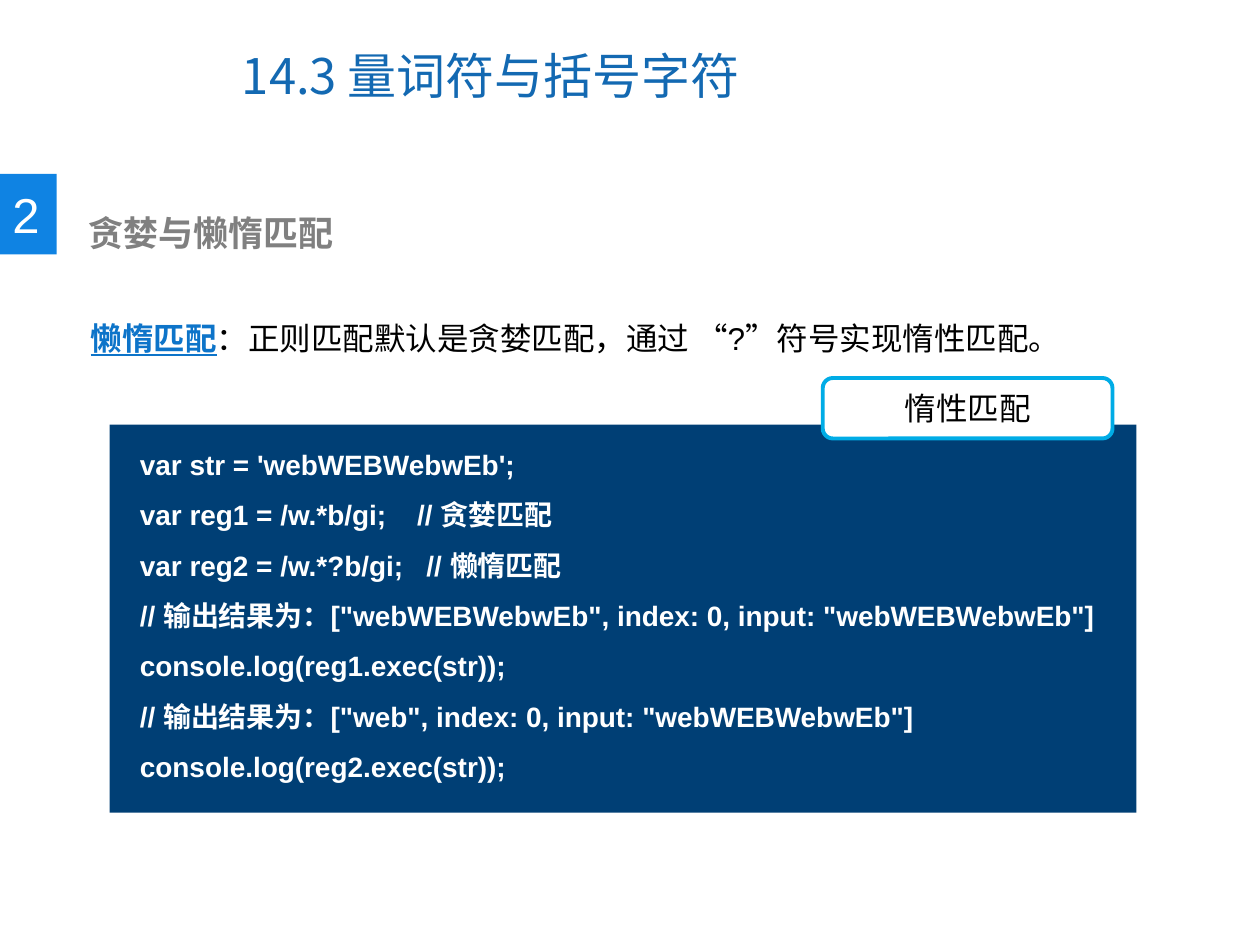
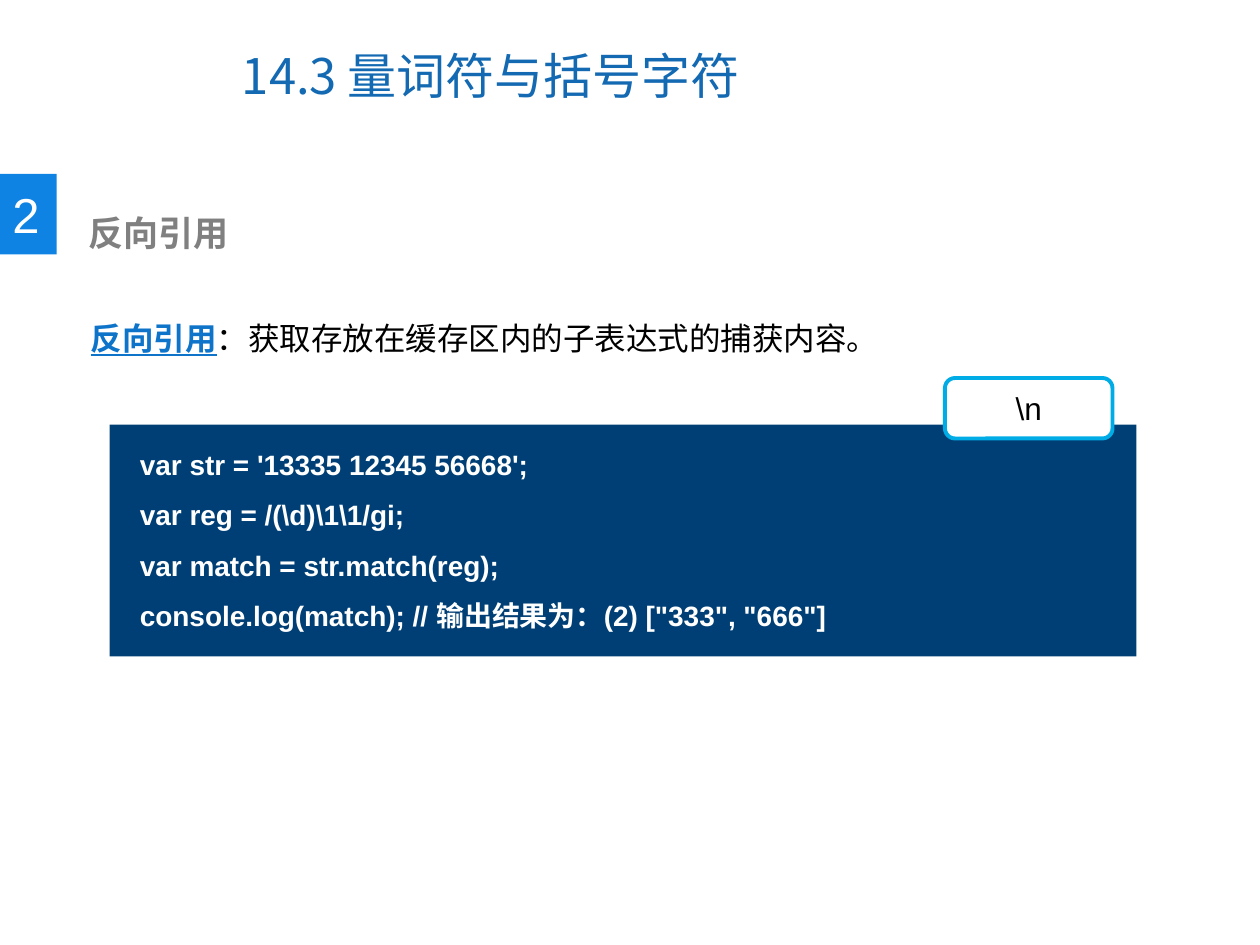
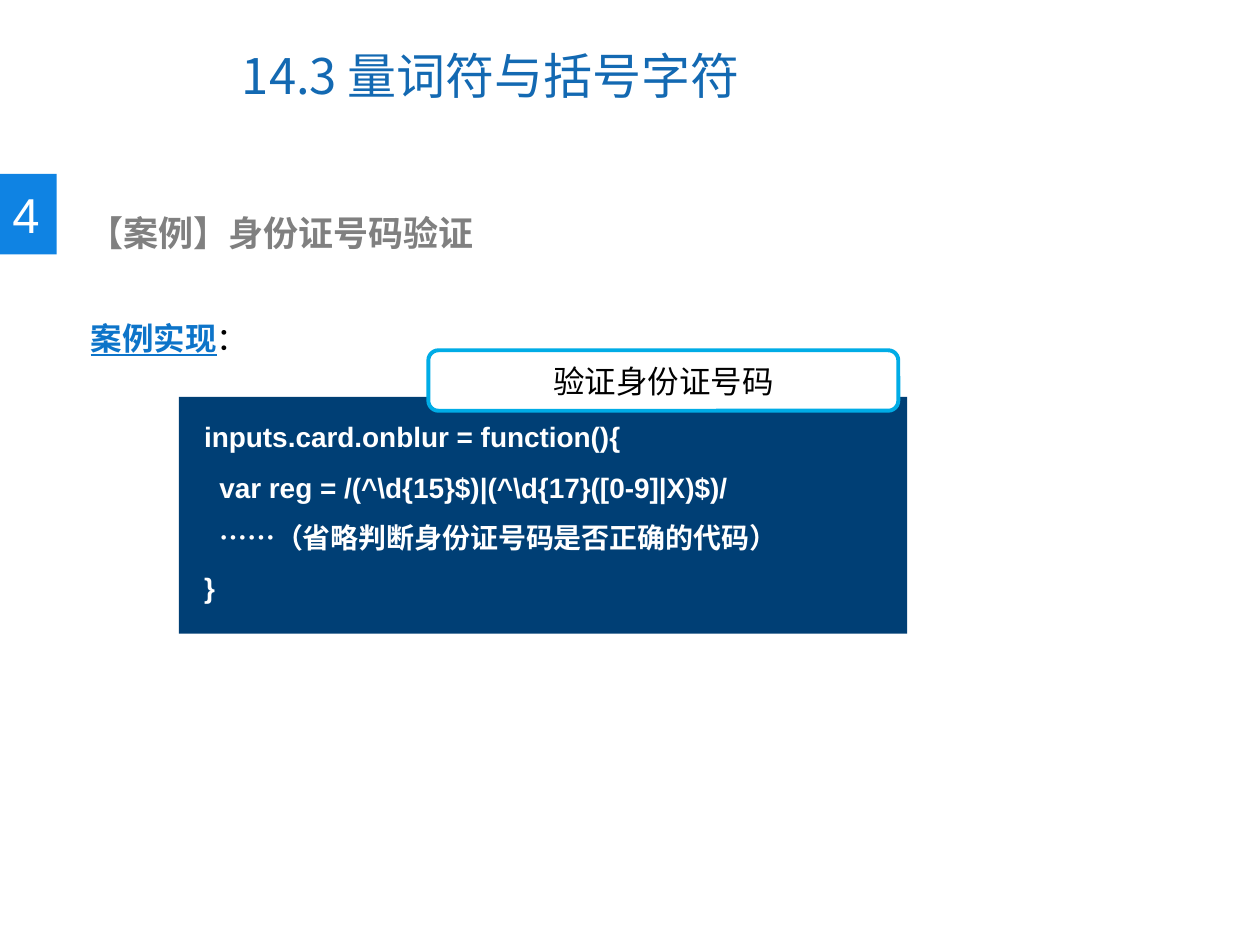
import pptx
import pptx.dml.color
import pptx.enum.shapes
import pptx.enum.text
import pptx.oxml.ns
import pptx.util
from lxml import etree

Inches = pptx.util.Inches
Pt = pptx.util.Pt
RGBColor = pptx.dml.color.RGBColor
MSO_SHAPE = pptx.enum.shapes.MSO_SHAPE
MSO_ANCHOR = pptx.enum.text.MSO_ANCHOR
PP_ALIGN = pptx.enum.text.PP_ALIGN

WHITE = RGBColor(0xFF, 0xFF, 0xFF)
BLACK = RGBColor(0x00, 0x00, 0x00)
GRAY = RGBColor(0x80, 0x80, 0x80)
TITLE_BLUE = RGBColor(0x13, 0x69, 0xB2)
BADGE_BLUE = RGBColor(0x0F, 0x83, 0xE3)
TERM_BLUE = RGBColor(0x0D, 0x74, 0xC9)
CODE_NAVY = RGBColor(0x00, 0x3F, 0x75)
LABEL_CYAN = RGBColor(0x00, 0xAC, 0xE6)

LATIN = "Arial"
CJK = "Noto Sans CJK SC"

TITLE_BOX = (1.82, 0.17, 5.16, 0.85)
BADGE_BOX = (0, 1.38, 0.45, 0.64)
HEADING_BOX = (0.47, 1.63, 5.14, 0.44)
INTRO_BOX = (0.62, 2.18, 8.65, 0.61)
LABEL_RISE = 0.37
LABEL_HEIGHT = 0.48
CODE_INDENT = 0.12

SLIDES = [
    {
        "number": "2",
        "heading": "贪婪与懒惰匹配",
        "term": "懒惰匹配",
        "meaning": "：正则匹配默认是贪婪匹配，通过 “?”符号实现惰性匹配。",
        "code_box": (0.87, 3.37, 8.15, 3.08),
        "code_inset": 0.24,
        "code": [
            (0, "var str = 'webWEBWebwEb';"),
            (0, "var reg1 = /w.*b/gi;    // 贪婪匹配"),
            (0, "var reg2 = /w.*?b/gi;   // 懒惰匹配"),
            (0, '// 输出结果为：["webWEBWebwEb", index: 0, input: "webWEBWebwEb"]'),
            (0, "console.log(reg1.exec(str));"),
            (0, '// 输出结果为：["web", index: 0, input: "webWEBWebwEb"]'),
            (0, "console.log(reg2.exec(str));"),
        ],
        "label": "惰性匹配",
        "label_width": 2.3,
        "label_gap": 0.19,
    },
    {
        "number": "2",
        "heading": "反向引用",
        "term": "反向引用",
        "meaning": "：获取存放在缓存区内的子表达式的捕获内容。",
        "code_box": (0.87, 3.37, 8.15, 1.84),
        "code_inset": 0.24,
        "code": [
            (0, "var str = '13335 12345 56668';"),
            (0, r"var reg = /(\d)\1\1/gi;"),
            (0, "var match = str.match(reg);"),
            (0, 'console.log(match); // 输出结果为：(2) ["333", "666"]'),
        ],
        "label": r"\n",
        "label_width": 1.33,
        "label_gap": 0.19,
    },
    {
        "number": "4",
        "heading": "【案例】身份证号码验证",
        "term": "案例实现",
        "meaning": "：",
        "code_box": (1.42, 3.15, 5.78, 1.88),
        "code_inset": 0.2,
        "code": [
            (0, "inputs.card.onblur = function(){"),
            (1, r"var reg = /(^\d{15}$)|(^\d{17}([0-9]|X)$)/"),
            (1, "……（省略判断身份证号码是否正确的代码）"),
            (0, "}"),
        ],
        "label": "验证身份证号码",
        "label_width": 3.73,
        "label_gap": 0.07,
    },
]


def style_run(r, size, color, bold=False, underline=False, latin=LATIN):
    r.font.size = Pt(size)
    r.font.bold = bold
    r.font.underline = underline
    r.font.color.rgb = color
    r.font.name = latin
    ea = etree.Element(pptx.oxml.ns.qn("a:ea"), typeface=CJK)
    r.font._element.find(pptx.oxml.ns.qn("a:latin")).addnext(ea)


def add_run(p, text, size, color, **style):
    r = p.add_run()
    r.text = text
    style_run(r, size, color, **style)


def add_block(slide, kind, box, fill, line=None):
    sp = slide.shapes.add_shape(kind, *map(Inches, box))
    sp.shadow.inherit = False
    sp.fill.solid()
    sp.fill.fore_color.rgb = fill
    if line is None:
        sp.line.fill.background()
    else:
        sp.line.color.rgb = line
        sp.line.width = Pt(2.25)
    sp.text_frame.word_wrap = True
    return sp


def add_text_frame(slide, box):
    tf = slide.shapes.add_textbox(*map(Inches, box)).text_frame
    tf.word_wrap = True
    return tf


def place_title(slide, box):
    sp = slide.shapes.title
    sp.left, sp.top, sp.width, sp.height = map(Inches, box)
    tf = sp.text_frame
    tf.auto_size = pptx.enum.text.MSO_AUTO_SIZE.NONE
    tf.vertical_anchor = MSO_ANCHOR.MIDDLE
    p = tf.paragraphs[0]
    p.alignment = PP_ALIGN.LEFT
    add_run(p, "14.3 ", 28, TITLE_BLUE, latin=CJK)
    add_run(p, "量词符与括号字符", 28, TITLE_BLUE)


def add_badge(slide, box, number):
    sp = add_block(slide, MSO_SHAPE.RECTANGLE, box, BADGE_BLUE)
    tf = sp.text_frame
    tf.margin_right = 0
    tf.vertical_anchor = MSO_ANCHOR.MIDDLE
    p = tf.paragraphs[0]
    p.alignment = PP_ALIGN.LEFT
    add_run(p, number, 28, WHITE)


def add_heading(slide, box, text):
    tf = add_text_frame(slide, box)
    tf.margin_left = Inches(0.23)
    add_run(tf.paragraphs[0], text, 20, GRAY, bold=True)


def add_intro(slide, box, term, meaning):
    p = add_text_frame(slide, box).paragraphs[0]
    p.line_spacing = 2.0
    add_run(p, term, 18, TERM_BLUE, bold=True, underline=True)
    add_run(p, meaning, 18, BLACK)


def add_label(slide, box, text):
    sp = add_block(slide, MSO_SHAPE.ROUNDED_RECTANGLE, box, WHITE, LABEL_CYAN)
    tf = sp.text_frame
    tf.vertical_anchor = MSO_ANCHOR.MIDDLE
    p = tf.paragraphs[0]
    p.alignment = PP_ALIGN.CENTER
    add_run(p, text, 18, BLACK)


def add_code(slide, box, inset, lines):
    sp = add_block(slide, MSO_SHAPE.RECTANGLE, box, CODE_NAVY)
    tf = sp.text_frame
    tf.margin_left = Inches(inset)
    tf.vertical_anchor = MSO_ANCHOR.TOP
    tf.text = "\n".join(text for level, text in lines)
    for p, (level, text) in zip(tf.paragraphs, lines):
        p.alignment = PP_ALIGN.LEFT
        p.line_spacing = 1.5
        if level:
            p._p.get_or_add_pPr().set("marL", str(Inches(level * CODE_INDENT)))
        style_run(p.runs[0], 16, WHITE, bold=True)


def build_slide(prs, data):
    slide = prs.slides.add_slide(prs.slide_layouts[5])
    place_title(slide, TITLE_BOX)
    add_badge(slide, BADGE_BOX, data["number"])
    add_heading(slide, HEADING_BOX, data["heading"])
    add_intro(slide, INTRO_BOX, data["term"], data["meaning"])
    add_code(slide, data["code_box"], data["code_inset"], data["code"])
    left, top, width, height = data["code_box"]
    label_left = left + width - data["label_gap"] - data["label_width"]
    label_box = (label_left, top - LABEL_RISE, data["label_width"], LABEL_HEIGHT)
    add_label(slide, label_box, data["label"])


def main():
    prs = pptx.Presentation()
    prs.slide_width = Inches(10)
    prs.slide_height = Inches(7.5)
    for data in SLIDES:
        build_slide(prs, data)
    prs.save("out.pptx")


if __name__ == "__main__":
    main()
